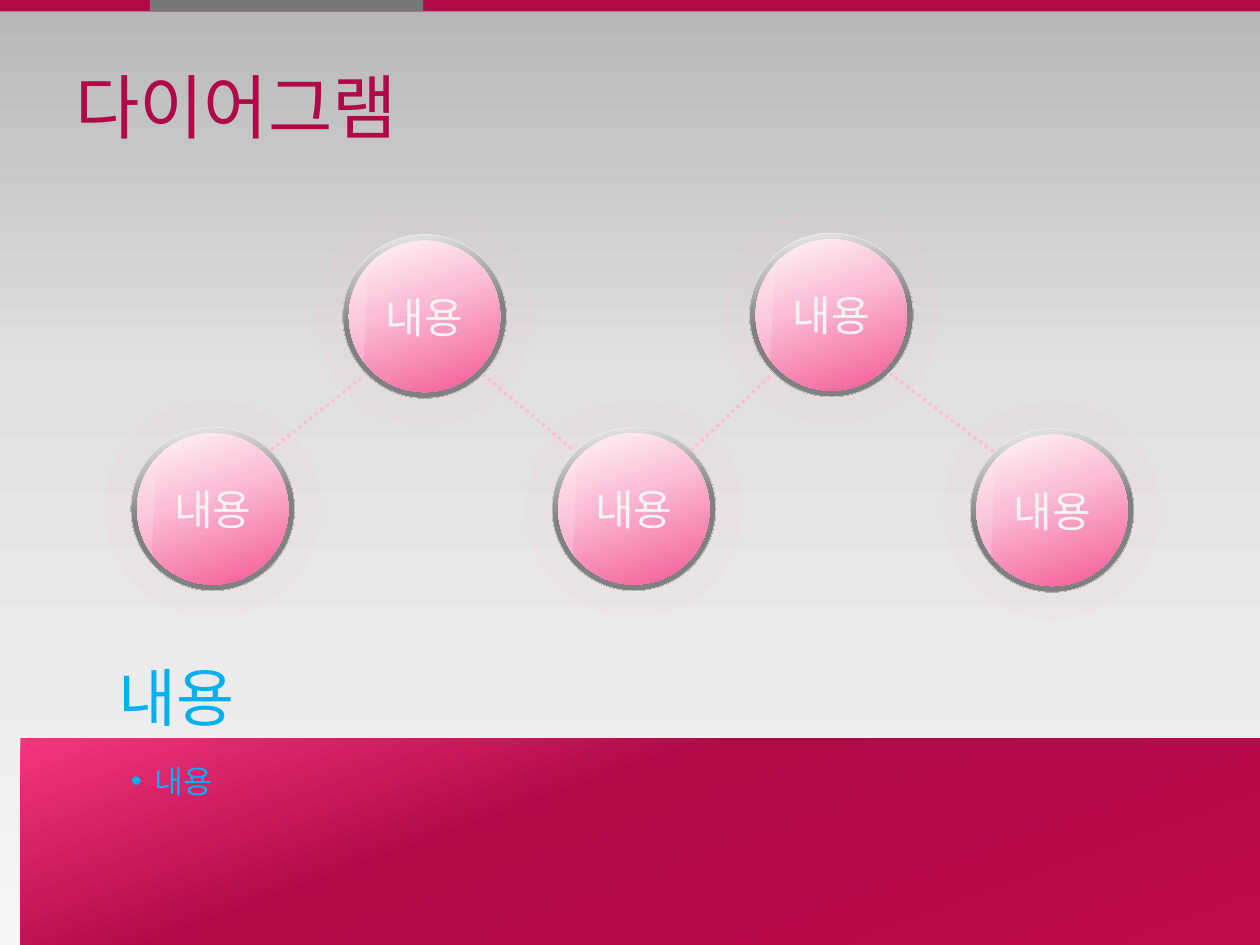
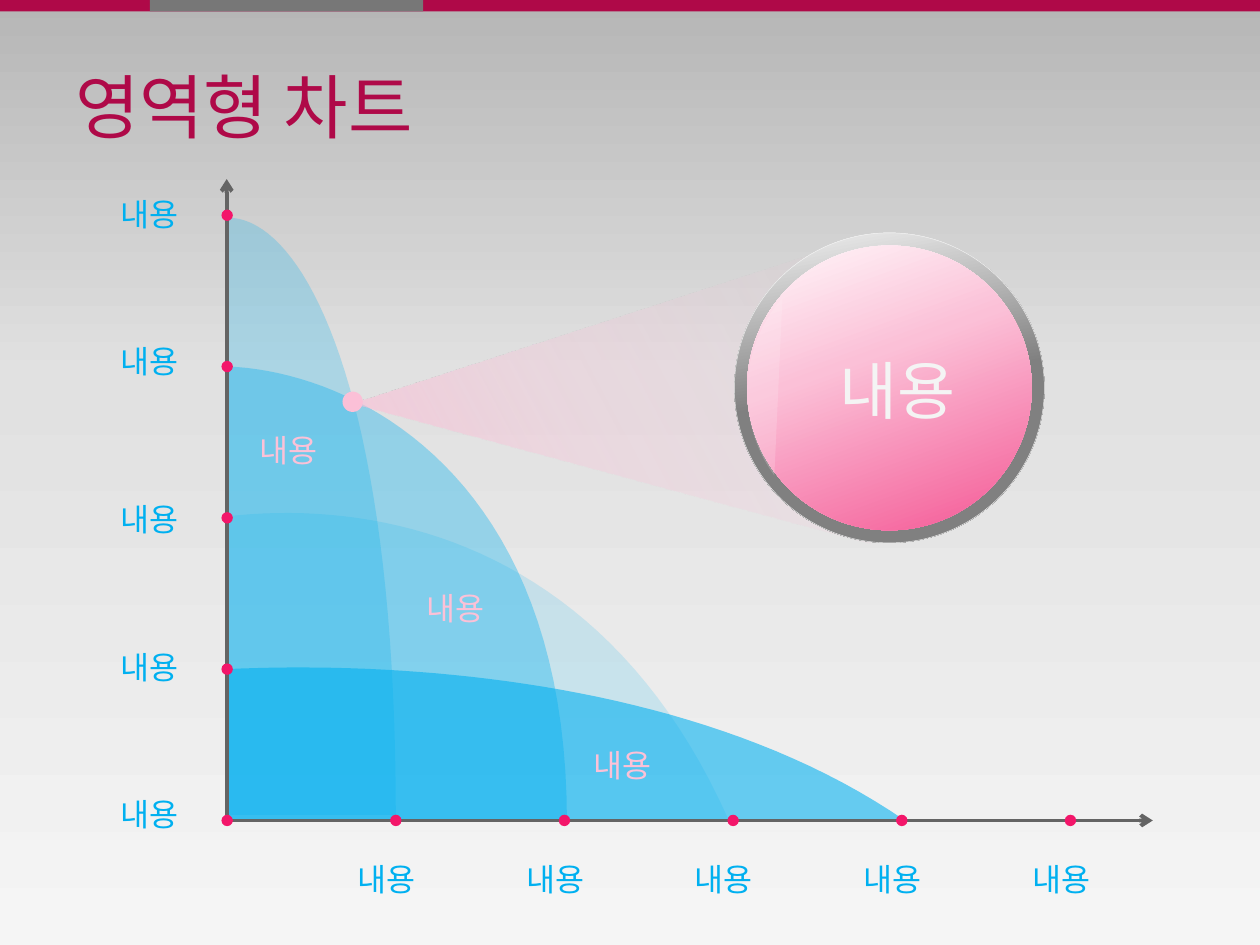
"""Build a bead diagram slide and an area chart slide in one shared style."""
from lxml import etree
from pptx import Presentation
from pptx import util as u
from pptx.dml.color import RGBColor
from pptx.enum import dml, shapes, text
from pptx.oxml.ns import qn

CRIMSON = RGBColor(0xAF, 0x09, 0x48)
GRAY = RGBColor(0x77, 0x77, 0x77)
AXIS = RGBColor(0x64, 0x64, 0x64)
SKY = RGBColor(0x00, 0xB0, 0xF0)
PINK = RGBColor(0xFB, 0xC0, 0xD7)
LABEL_PINK = RGBColor(0xFC, 0xC1, 0xD7)
HOT_PINK = RGBColor(0xF3, 0x16, 0x6A)
GLOSS = RGBColor(0xFE, 0xF2, 0xF7)
SILVER = RGBColor(0xF2, 0xF2, 0xF2)
STEEL = RGBColor(0x80, 0x80, 0x80)
OFF_WHITE = RGBColor(0xF4, 0xF4, 0xF4)

BACKDROP = [(0, RGBColor(0xB6, 0xB6, 0xB6)), (40, RGBColor(0xE1, 0xE1, 0xE1)),
            (100, RGBColor(0xF5, 0xF5, 0xF5))]
PANEL = [(0, RGBColor(0xF5, 0x35, 0x7E)), (40, CRIMSON),
         (100, RGBColor(0xBF, 0x0A, 0x4E))]
RING = [(0, SILVER), (50, STEEL), (100, STEEL)]
BALL = [(0, RGBColor(0xFF, 0xF9, 0xFB)), (40, PINK),
        (100, RGBColor(0xF4, 0x58, 0x95))]
BEAM = [(0, PINK, 75), (40, PINK, 30), (100, PINK, 0)]

RECT = shapes.MSO_SHAPE.RECTANGLE
OVAL = shapes.MSO_SHAPE.OVAL
CHORD = shapes.MSO_SHAPE.CHORD
WORD = "내용"


def add_alpha(color, percent):
    etree.SubElement(color, qn("a:alpha")).set("val", str(percent * 1000))


def set_gradient(fill, element, stops, angle):
    """Fill with (position, colour[, opacity]) stops at a clockwise angle."""
    fill.gradient()
    fill.gradient_angle = 360 - angle
    stop_list = next(element.iter(qn("a:gsLst")))
    for stop in list(stop_list):
        stop_list.remove(stop)
    for pos, color, *opacity in stops:
        gs = etree.SubElement(stop_list, qn("a:gs"), pos=str(pos * 1000))
        clr = etree.SubElement(gs, qn("a:srgbClr"), val=str(color))
        for percent in opacity:
            add_alpha(clr, percent)


def bezier(points, steps=40):
    """Return points along a cubic curve."""
    a, b, c, d = points
    ts = [i / steps for i in range(steps + 1)]
    return [tuple((1 - t) ** 3 * a[k] + 3 * t * (1 - t) ** 2 * b[k]
                  + 3 * t * t * (1 - t) * c[k] + t ** 3 * d[k] for k in (0, 1))
            for t in ts]


class Deck:
    """Hold the shared style and the slide being drawn."""

    def __init__(self):
        self.prs = Presentation()
        self.prs.slide_width, self.prs.slide_height = u.Cm(25.4), u.Cm(19.05)
        self.s = None

    def slide(self, title):
        """Start a slide with backdrop, top bands and title."""
        self.s = self.prs.slides.add_slide(self.prs.slide_layouts[6])
        set_gradient(self.s.background.fill, self.s.element, BACKDROP, 90)
        self.shape(RECT, 0, 0, 25.4, 0.23, CRIMSON)
        self.shape(RECT, 3.02, 0, 5.51, 0.23, GRAY)
        self.text(title, 1.27, 0.84, 22.86, 2.57, 40, CRIMSON, font="Roboto",
                  frame={"vertical_anchor": text.MSO_ANCHOR.MIDDLE,
                         "auto_size": text.MSO_AUTO_SIZE.NONE})

    def paint(self, sp, fill, angle=0, alpha=None):
        """Give a shape its plain or gradient fill without line or shadow."""
        sp.shadow.inherit = False
        sp.line.fill.background()
        if isinstance(fill, list):
            set_gradient(sp.fill, sp.element, fill, angle)
        else:
            sp.fill.solid()
            sp.fill.fore_color.rgb = fill
            if alpha is not None:
                add_alpha(next(sp.element.iter(qn("a:srgbClr"))), alpha)
        return sp

    def shape(self, kind, x, y, w, h, fill, **style):
        """Add a preset shape."""
        sp = self.s.shapes.add_shape(kind, *map(u.Cm, (x, y, w, h)))
        return self.paint(sp, fill, **style)

    def round(self, cx, cy, d, fill, kind=OVAL, **style):
        """Add a round shape about a centre."""
        return self.shape(kind, cx - d / 2, cy - d / 2, d, d, fill, **style)

    def outline(self, points, fill, **style):
        """Add a closed freeform."""
        start, *rest = [(u.Cm(x), u.Cm(y)) for x, y in points]
        builder = self.s.shapes.build_freeform(*start)
        builder.add_line_segments(rest, close=True)
        return self.paint(builder.convert_to_shape(), fill, **style)

    def area(self, curve, alpha):
        """Add the translucent area below a curve."""
        corner = (curve[0][0], curve[-1][1])
        self.outline(bezier(curve) + [corner], SKY, alpha=alpha)

    def line(self, start, end, color, width, dash=None, arrow=False):
        """Add a straight line, with an optional arrowhead at its start."""
        c = self.s.shapes.add_connector(
            shapes.MSO_CONNECTOR.STRAIGHT, *map(u.Cm, start + end))
        c.line.color.rgb = color
        c.line.width = u.Pt(width)
        if dash:
            c.line.dash_style = dash
        if arrow:
            ln = next(c.element.iter(qn("a:ln")))
            etree.SubElement(ln, qn("a:headEnd"), type="arrow")
        etree.SubElement(c.element.spPr, qn("a:effectLst"))

    def text(self, words, x, y, w, h, size, color, font="Arial", align=None,
             bullet=False, frame=None):
        """Add a one-paragraph text box."""
        tf = self.s.shapes.add_textbox(*map(u.Cm, (x, y, w, h))).text_frame
        settings = {"word_wrap": True,
                    "auto_size": text.MSO_AUTO_SIZE.SHAPE_TO_FIT_TEXT}
        for name, value in {**settings, **(frame or {})}.items():
            setattr(tf, name, value)
        p = tf.paragraphs[0]
        p.alignment = align
        if bullet:
            pPr = p._p.get_or_add_pPr()
            pPr.set("marL", str(u.Cm(0.48)))
            pPr.set("indent", str(-u.Cm(0.48)))
            etree.SubElement(pPr, qn("a:buFont"), typeface="Arial")
            etree.SubElement(pPr, qn("a:buChar"), char="•")
        r = p.add_run()
        r.text = words
        for name, value in {"size": u.Pt(size), "name": font}.items():
            setattr(r.font, name, value)
        r.font.color.rgb = color

    def label(self, x, y, color):
        """Add a small chart label."""
        self.text(WORD, x, y, 1.78, 1.02, 18, color, frame={"word_wrap": False})

    def bead(self, cx, cy, ring, ball, shift):
        """Add a glossy ball in a metal ring."""
        sp = self.round(cx, cy, ring, RING, angle=80)
        sp.line.color.rgb = SILVER
        sp.line.width = u.Pt(0.25)
        self.round(cx, cy, ball, BALL, angle=70)
        gloss = self.round(cx, cy + shift, ball, GLOSS, CHORD, alpha=20)
        gloss.rotation = 90
        for i, degrees in enumerate((53.95, 131.3)):
            gloss.adjustments[i] = degrees * 0.6

    def caption(self, cx, cy, w, h, size):
        """Centre a caption on a bead."""
        self.text(WORD, cx - w / 2, cy - h / 2, w, h, size, OFF_WHITE,
                  align=text.PP_ALIGN.CENTER,
                  frame={"vertical_anchor": text.MSO_ANCHOR.MIDDLE})


def diagram_slide(deck):
    deck.slide("다이어그램")
    deck.shape(RECT, 0.41, 14.88, 24.99, 4.17, PANEL, angle=70)
    beads = [(8.56, 6.38), (4.29, 10.26), (16.76, 6.35), (12.78, 10.26),
             (21.21, 10.29)]
    for cx, cy in beads:
        deck.round(cx, cy, 4.37, PINK, alpha=10)
        deck.bead(cx, cy, 3.3, 3.05, 0.03)
        deck.caption(cx, cy, 2.95, 1.27, 24)
    links = [((5.46, 9.07), (7.39, 7.54)), ((9.73, 7.54), (11.58, 9.09)),
             ((13.92, 9.09), (15.6, 7.52)), ((17.93, 7.52), (20.04, 9.12))]
    for start, end in links:
        deck.line(start, end, PINK, 2, dash=dml.MSO_LINE.ROUND_DOT)
    deck.text(WORD, 2.39, 15.24, 20.22, 3.3, 18, SKY, bullet=True)
    margins = ("margin_left", "margin_top", "margin_right", "margin_bottom")
    deck.text(WORD, 2.39, 13.28, 20.62, 1.52, 36, SKY,
              frame={"vertical_anchor": text.MSO_ANCHOR.BOTTOM,
                     **dict.fromkeys(margins, 0)})


def area_slide(deck):
    deck.slide("영역형 차트")
    areas = [
        ([(4.57, 10.41), (7.87, 10.03), (12.27, 11.1), (14.68, 16.51)], 15),
        ([(4.6, 7.39), (7.11, 7.49), (11.43, 9.53), (11.43, 16.56)], 35),
        ([(4.6, 4.39), (6.1, 4.39), (7.98, 7.82), (7.98, 16.43)], 24),
        ([(4.57, 13.49), (8.38, 13.31), (14.22, 13.77), (18.24, 16.54)], 58),
    ]
    for curve, alpha in areas:
        deck.area(curve, alpha)

    deck.line((4.57, 3.61), (4.57, 16.56), AXIS, 2.25, arrow=True)
    deck.line((23.24, 16.54), (4.62, 16.54), AXIS, 2.25, arrow=True)
    x0, y0, x_step, y_step = 4.58, 16.54, 3.4, 3.05
    ticks = [(x0, y0 - i * y_step) for i in range(4, 0, -1)]
    ticks += [(x0 + i * x_step, y0) for i in range(6)]
    for cx, cy in ticks:
        deck.round(cx, cy, 0.23, HOT_PINK)

    for i in range(3):
        deck.label(4.98 + 3.37 * i, 8.56 + 3.18 * i, LABEL_PINK)
    for y in (3.81, 6.78, 9.96, 12.93, 15.9):
        deck.label(2.18, y, SKY)
    for i in range(5):
        deck.label(6.96 + x_step * i, 17.22, SKY)

    deck.outline([(17.55, 10.95), (7.11, 8.13), (17.53, 4.75)], BEAM, angle=332)
    deck.bead(17.93, 7.82, 6.25, 5.74, 0.08)
    deck.round(7.11, 8.1, 0.41, PINK)
    deck.caption(18.1, 7.84, 2.97, 1.8, 36)


def main():
    deck = Deck()
    diagram_slide(deck)
    area_slide(deck)
    deck.prs.save("out.pptx")


if __name__ == "__main__":
    main()
